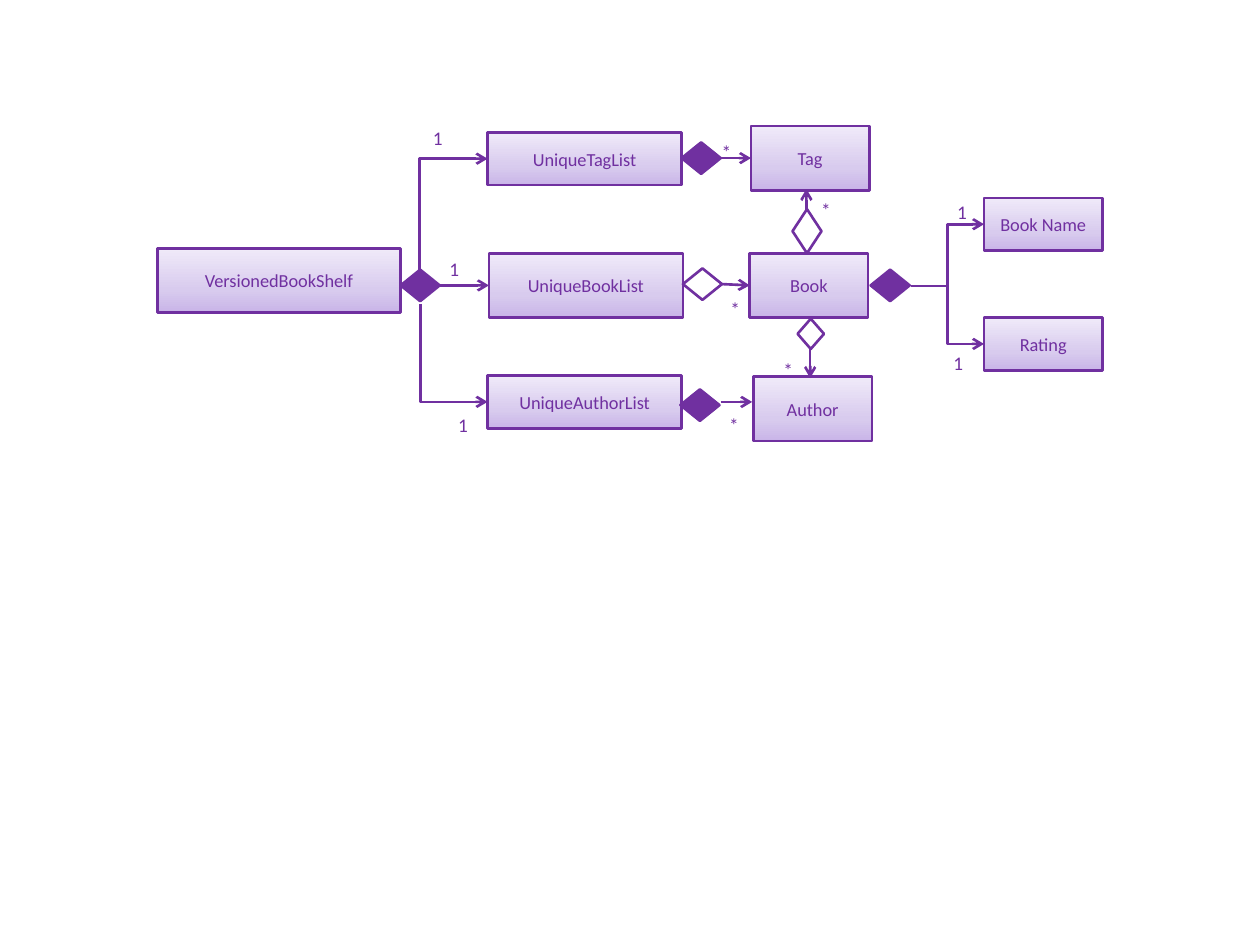
from copy import deepcopy

from lxml.etree import SubElement
from pptx import Presentation
from pptx.dml.color import RGBColor
from pptx.enum.shapes import MSO_CONNECTOR, MSO_SHAPE
from pptx.enum.text import PP_ALIGN
from pptx.oxml.ns import qn
from pptx.util import Inches, Pt

PURPLE = RGBColor(0x70, 0x30, 0xA0)
GRADIENT = [
    (0, RGBColor(0xC9, 0xB5, 0xE8)),
    (0.35, RGBColor(0xD8, 0xCB, 0xEE)),
    (1, RGBColor(0xF0, 0xEA, 0xF9)),
]
LEFT, RIGHT = 1, 3


class ClassDiagram:
    font_name = "Calibri"
    box_size = Pt(10.5)
    label_size = Pt(11)
    line_width = Pt(1.5)

    def __init__(self, slide):
        self.slide = slide

    def set_text(self, shape, text, size):
        paragraph = shape.text_frame.paragraphs[0]
        paragraph.text = text
        paragraph.alignment = PP_ALIGN.CENTER
        paragraph.font.name = self.font_name
        paragraph.font.size = size
        paragraph.font.color.rgb = PURPLE

    def outline(self, shape):
        shape.line.color.rgb = PURPLE
        shape.line.width = self.line_width

    def add_shape(self, kind, left, top, width, height):
        shape = self.slide.shapes.add_shape(
            kind, Inches(left), Inches(top), Inches(width), Inches(height))
        shape.shadow.inherit = False
        self.outline(shape)
        return shape

    def box(self, text, left, top, width, height):
        shape = self.add_shape(MSO_SHAPE.RECTANGLE, left, top, width, height)
        shape.fill.gradient()
        shape.fill.gradient_angle = 90
        stop_list = shape._element.spPr.find(".//" + qn("a:gsLst"))
        stop_list.insert(1, deepcopy(stop_list[0]))
        for stop, (position, color) in zip(shape.fill.gradient_stops, GRADIENT):
            stop.position = position
            stop.color.rgb = color
        self.set_text(shape, text, self.box_size)
        return shape

    def diamond(self, left, top, width=0.31, height=0.25, filled=False):
        shape = self.add_shape(MSO_SHAPE.FLOWCHART_DECISION, left, top, width, height)
        if filled:
            shape.fill.solid()
            shape.fill.fore_color.rgb = PURPLE
        else:
            shape.fill.background()
        return shape

    def label(self, text, left, top):
        shape = self.slide.shapes.add_textbox(
            Inches(left), Inches(top), Inches(0.25), Inches(0.26))
        frame = shape.text_frame
        frame.word_wrap = True
        frame.margin_left = frame.margin_right = 0
        frame.margin_top = frame.margin_bottom = 0
        self.set_text(shape, text, self.label_size)

    def connector(self, kind, start, end, arrow_end="a:tailEnd"):
        connector = self.slide.shapes.add_connector(
            kind, *(Inches(value) for value in (*start, *end)))
        self.outline(connector)
        line = connector._element.spPr.find(qn("a:ln"))
        SubElement(line, qn(arrow_end), type="arrow")
        SubElement(connector._element.spPr, qn("a:effectLst"))
        return connector

    def arrow(self, start, end):
        return self.connector(MSO_CONNECTOR.STRAIGHT, start, end)

    def join(self, source, target):
        connector = self.arrow((0, 0), (1, 1))
        connector.begin_connect(source, RIGHT)
        connector.end_connect(target, LEFT)

    def branch(self, start, end):
        self.connector(MSO_CONNECTOR.ELBOW, start, end)

    def corner(self, box_side, diamond_tip):
        connector = self.connector(
            MSO_CONNECTOR.ELBOW, box_side, diamond_tip, "a:headEnd")
        geometry = connector._element.spPr.find(qn("a:prstGeom"))
        geometry.set("prst", "bentConnector2")


def main():
    presentation = Presentation()
    presentation.slide_width = Inches(10)
    presentation.slide_height = Inches(7.5)
    slide = presentation.slides.add_slide(presentation.slide_layouts[6])
    diagram = ClassDiagram(slide)

    diagram.box("VersionedBookShelf", 1.25, 1.97, 1.93, 0.51)
    diagram.box("UniqueTagList", 3.87, 1.05, 1.54, 0.42)
    book_list = diagram.box("UniqueBookList", 3.88, 2.01, 1.54, 0.51)
    diagram.box("UniqueAuthorList", 3.87, 2.98, 1.54, 0.42)
    tag = diagram.box("Tag", 5.96, 1, 0.94, 0.51)
    book = diagram.box("Book", 5.95, 2.01, 0.94, 0.51)
    diagram.box("Author", 5.98, 2.99, 0.94, 0.51)
    diagram.box("Book Name", 7.81, 1.57, 0.94, 0.42)
    diagram.box("Rating", 7.81, 2.52, 0.94, 0.42)

    shelf_diamond = diagram.diamond(3.18, 2.14, filled=True)
    tag_list_diamond = diagram.diamond(5.41, 1.13, filled=True)
    book_list_diamond = diagram.diamond(5.42, 2.13)
    diagram.diamond(5.4, 3.09, filled=True)
    diagram.diamond(6.91, 2.14, filled=True)
    diagram.diamond(6.29, 1.66, 0.23, 0.35)
    diagram.diamond(6.33, 2.53, 0.21, 0.24)

    diagram.join(shelf_diamond, book_list)
    diagram.join(tag_list_diamond, tag)
    diagram.join(book_list_diamond, book)
    diagram.arrow((5.72, 3.19), (5.97, 3.19))
    diagram.arrow((6.4, 1.67), (6.4, 1.5))
    diagram.arrow((6.43, 2.77), (6.43, 3))
    diagram.corner((3.87, 1.26), (3.33, 2.16))
    diagram.corner((3.87, 3.19), (3.34, 2.41))
    for attribute_middle in (1.78, 2.73):
        diagram.branch((7.23, 2.27), (7.81, attribute_middle))

    one_places = [(3.35, 1), (3.48, 2.04), (3.55, 3.28), (7.51, 1.59), (7.48, 2.79)]
    many_places = [(5.64, 1.11), (5.71, 2.36), (5.7, 3.28), (6.43, 1.57), (6.13, 2.84)]
    for text, places in (("1", one_places), ("*", many_places)):
        for left, top in places:
            diagram.label(text, left, top)

    presentation.save("out.pptx")


if __name__ == "__main__":
    main()
